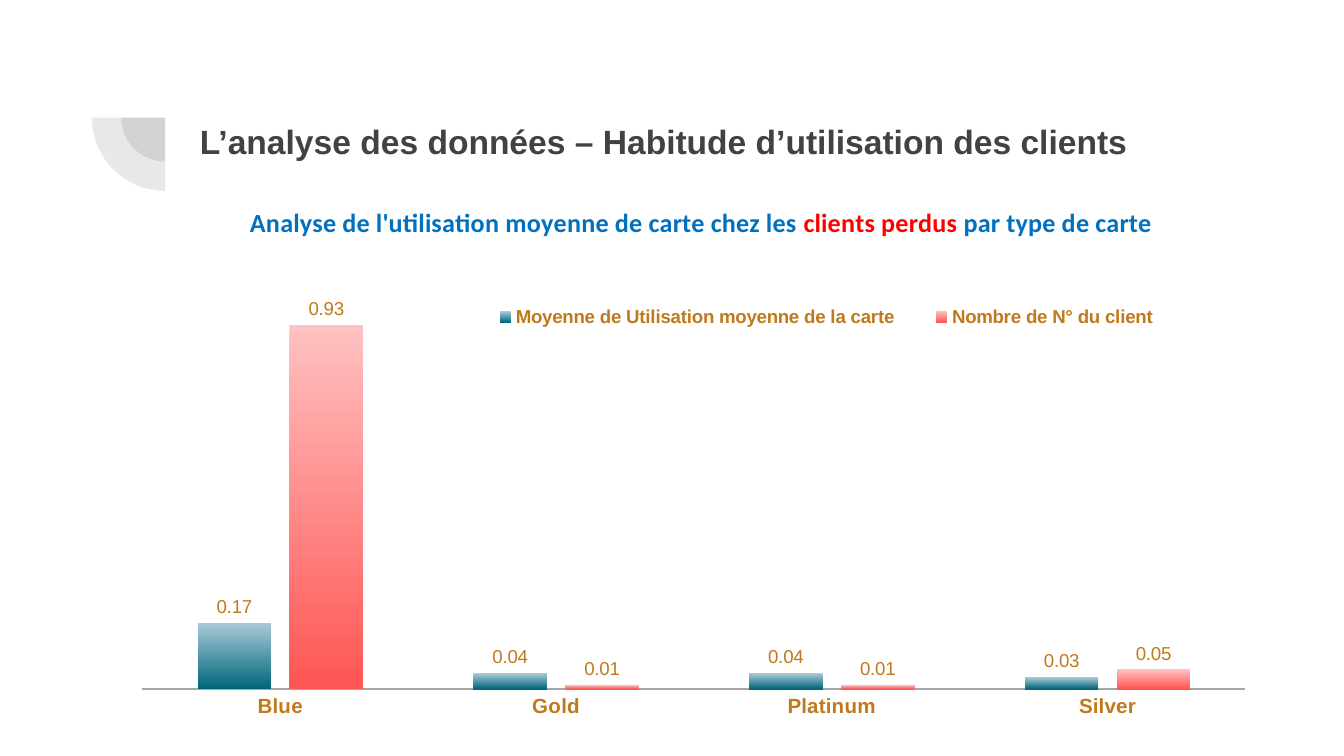
from dataclasses import dataclass

from lxml.etree import SubElement
from pptx import Presentation
from pptx.chart.data import CategoryChartData
from pptx.dml.color import RGBColor
from pptx.enum.chart import (XL_CHART_TYPE, XL_LABEL_POSITION,
                             XL_LEGEND_POSITION, XL_TICK_MARK)
from pptx.enum.shapes import MSO_SHAPE
from pptx.enum.text import MSO_ANCHOR
from pptx.oxml.ns import qn
from pptx.util import Pt


@dataclass(frozen=True)
class Theme:
    sans: str = "Arial"
    head: str = "Calibri"
    dark: str = "424242"
    gold: str = "C0791B"
    blue: str = "0070C0"
    red: str = "FF0000"
    axis: str = "A6A6A6"
    teals: tuple = ("A9CBD8", "00657B")
    pinks: tuple = ("FFC1C1", "FF5553")
    title: int = 18
    sub: int = 14
    cat: int = 11
    label: int = 10


THEME = Theme()
CARDS = ("Blue", "Gold", "Platinum", "Silver")
SERIES = (
    ("Moyenne de Utilisation moyenne de la carte",
     (0.17, 0.04, 0.04, 0.03), THEME.teals),
    ("Nombre de N° du client", (0.93, 0.01, 0.01, 0.05), THEME.pinks),
)
HEADING = (
    ("Analyse de l'utilisation moyenne de carte chez les ", THEME.blue),
    ("clients perdus", THEME.red),
    (" par type de carte", THEME.blue),
)


def style(font, size, color, name=THEME.sans, bold=False):
    font.size, font.name, font.bold = Pt(size), name, bold
    font.color.rgb = RGBColor.from_string(color)


def add_arc(slide, x, y, size):
    """Add a pale quarter disc below and left of the point x, y."""
    arc = slide.shapes.add_shape(MSO_SHAPE.PIE, Pt(x - size / 2),
                                 Pt(y - size / 2), Pt(size), Pt(size))
    arc.adjustments[0], arc.adjustments[1] = 108, 162
    arc.rotation = 270
    arc.shadow.inherit = False
    arc.line.fill.background()
    arc.fill.solid()
    arc.fill.fore_color.rgb = RGBColor.from_string(THEME.dark)
    color = arc.fill._xPr.find(".//" + qn("a:srgbClr"))
    SubElement(color, qn("a:alpha"), val="12000")


def add_title(slide, text):
    box = slide.shapes.add_textbox(Pt(100), Pt(57.6), Pt(554), Pt(44))
    frame = box.text_frame
    frame.word_wrap = True
    frame.vertical_anchor = MSO_ANCHOR.TOP
    frame.margin_left = frame.margin_right = Pt(7.2)
    frame.margin_top = frame.margin_bottom = Pt(7.2)
    frame.text = text
    style(frame.paragraphs[0].runs[0].font, THEME.title, THEME.dark, bold=True)


def place(chart, tag, index, **spots):
    """Fix a chart part at fractions of the chart's size."""
    part = chart.element.find(".//" + qn(tag))
    for old in part.findall(qn("c:layout")):
        part.remove(old)
    layout = SubElement(part, qn("c:layout"))
    part.insert(index, layout)
    manual = SubElement(layout, qn("c:manualLayout"))
    if tag == "c:plotArea":
        SubElement(manual, qn("c:layoutTarget"), val="inner")
    for mode in ("xMode", "yMode"):
        SubElement(manual, qn("c:" + mode), val="edge")
    for key, value in spots.items():
        SubElement(manual, qn("c:" + key), val=str(value))


def set_head(chart):
    chart.has_title = True
    chart.chart_title.include_in_layout = False
    para = chart.chart_title.text_frame.paragraphs[0]
    for text, color in HEADING:
        run = para.add_run()
        run.text = text
        style(run.font, THEME.sub, color, THEME.head, True)
    place(chart, "c:title", 1, x=0.11, y=0.03)


def set_key(chart):
    chart.has_legend = True
    legend = chart.legend
    legend.position = XL_LEGEND_POSITION.TOP
    legend.include_in_layout = False
    style(legend.font, THEME.label, THEME.gold, bold=True)
    place(chart, "c:legend", 1, x=0.3, y=0.21, w=0.63, h=0.07)


def set_axes(chart):
    scale = chart.value_axis
    scale.minimum_scale, scale.maximum_scale = 0, 1
    scale.has_major_gridlines = False
    scale.visible = False
    cats = chart.category_axis
    cats.major_tick_mark = cats.minor_tick_mark = XL_TICK_MARK.NONE
    cats.format.line.color.rgb = RGBColor.from_string(THEME.axis)
    cats.format.line.width = Pt(0.75)
    style(cats.tick_labels.font, THEME.cat, THEME.gold, bold=True)


def set_bars(chart):
    plot = chart.plots[0]
    plot.gap_width, plot.overlap = 150, -25
    plot.vary_by_categories = False
    for series, (_, _, shades) in zip(plot.series, SERIES):
        series.invert_if_negative = False
        fill = series.format.fill
        fill.gradient()
        fill.gradient_angle = 270
        for stop, shade in zip(fill.gradient_stops, shades):
            stop.color.rgb = RGBColor.from_string(shade)
        labels = series.data_labels
        labels.show_value = True
        labels.number_format = "0.00"
        labels.number_format_is_linked = False
        labels.position = XL_LABEL_POSITION.OUTSIDE_END
        style(labels.font, THEME.label, THEME.gold)


def add_bars(slide):
    data = CategoryChartData(number_format="0.00")
    data.categories = CARDS
    for name, values, _ in SERIES:
        data.add_series(name, values)
    chart = slide.shapes.add_chart(XL_CHART_TYPE.COLUMN_CLUSTERED, Pt(64),
                                   Pt(98.6), Pt(615.6), Pt(291), data).chart
    style(chart.font, THEME.label, THEME.gold)
    set_head(chart)
    set_key(chart)
    set_axes(chart)
    set_bars(chart)
    place(chart, "c:plotArea", 0, x=0.02, y=0.21, w=0.96, h=0.72)


def main():
    deck = Presentation()
    deck.slide_width, deck.slide_height = Pt(720), Pt(405)
    slide = deck.slides.add_slide(deck.slide_layouts[6])
    for size in (47, 78.5):
        add_arc(slide, 88.5, 63, size)
    add_bars(slide)
    add_title(slide, "L’analyse des données – Habitude d’utilisation des clients")
    deck.save("out.pptx")


if __name__ == "__main__":
    main()
